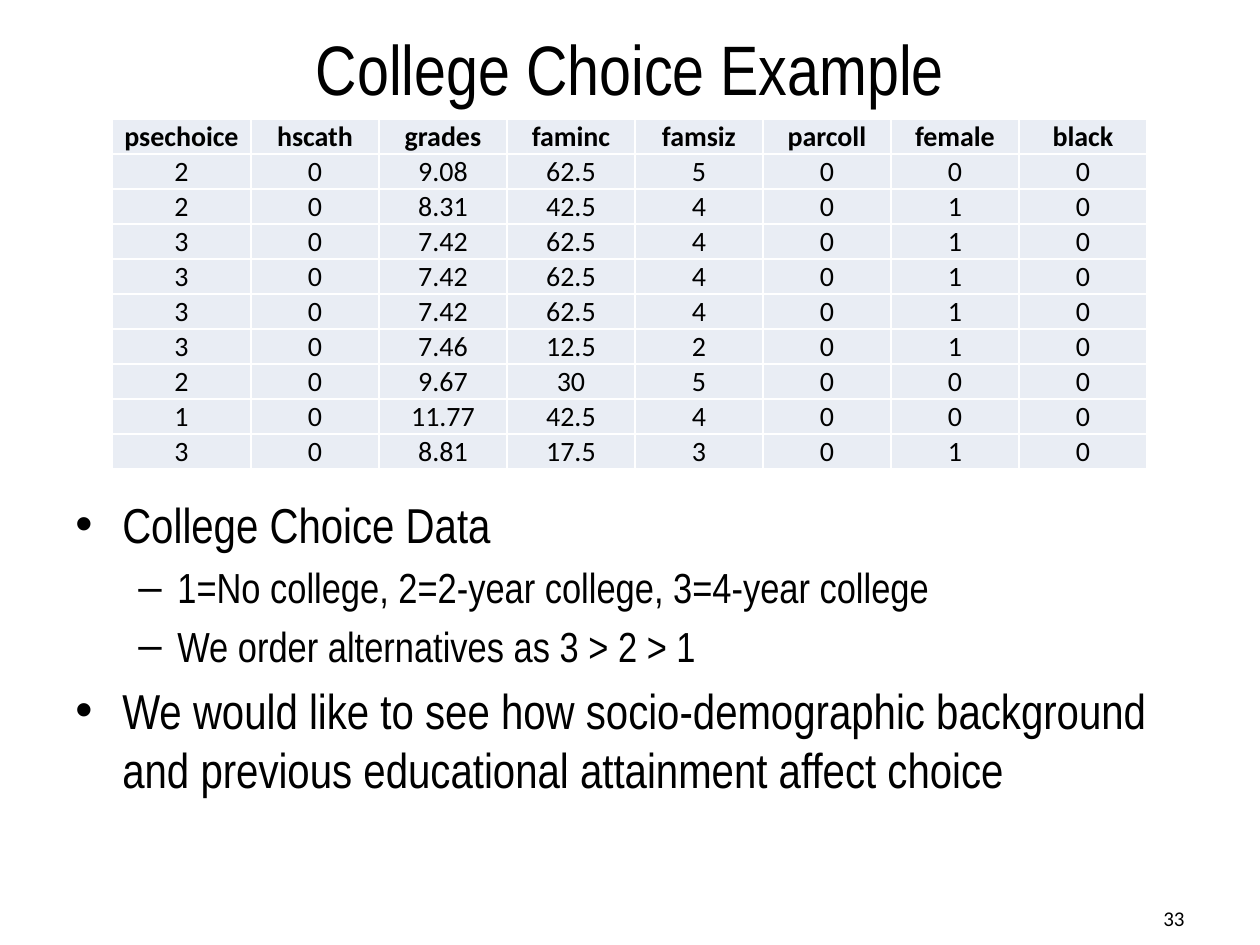
from lxml import etree
from pptx import Presentation
from pptx.dml.color import RGBColor
from pptx.enum.text import MSO_ANCHOR, PP_ALIGN
from pptx.oxml import parse_xml
from pptx.oxml.ns import nsdecls, qn
from pptx.util import Pt

PX = 914400 / 126
BLACK = RGBColor(0x00, 0x00, 0x00)
PALE = RGBColor(0xE9, 0xED, 0xF4)
TOP, MID, LOW = MSO_ANCHOR.TOP, MSO_ANCHOR.MIDDLE, MSO_ANCHOR.BOTTOM
CENTER, RIGHT = PP_ALIGN.CENTER, PP_ALIGN.RIGHT

ROWS = [
    "psechoice hscath grades faminc famsiz parcoll female black",
    "2 0 9.08 62.5 5 0 0 0",
    "2 0 8.31 42.5 4 0 1 0",
    "3 0 7.42 62.5 4 0 1 0",
    "3 0 7.42 62.5 4 0 1 0",
    "3 0 7.42 62.5 4 0 1 0",
    "3 0 7.46 12.5 2 0 1 0",
    "2 0 9.67 30 5 0 0 0",
    "1 0 11.77 42.5 4 0 0 0",
    "3 0 8.81 17.5 3 0 1 0",
]
POINTS = [
    (0, "College Choice Data"),
    (1, "1=No college, 2=2-year college, 3=4-year college"),
    (1, "We order alternatives as 3 > 2 > 1"),
    (0, "We would like to see how socio-demographic background "
        "and previous educational attainment affect choice"),
]
LEVELS = [("•", 28, 47, 47), ("–", 24, 102, 39)]


def add_box(left, top, width, height, anchor):
    box = slide.shapes.add_textbox(*[round(n * PX) for n in (left, top, width, height)])
    frame = box.text_frame
    frame.word_wrap = True
    frame.vertical_anchor = anchor
    return frame


def style(para, text, size, face, align=None, bold=False):
    para.text = text
    para.alignment = align
    font = para.font
    font.size = Pt(size)
    font.name = face
    font.bold = bold
    font.color.rgb = BLACK


deck = Presentation()
deck.slide_width = round(1260 * PX)
deck.slide_height = round(945 * PX)
slide = deck.slides.add_slide(deck.slide_layouts[6])

title = add_box(63, 0, 1134, 135, MID)
style(title.paragraphs[0], "College Choice Example", 40, "Arial Narrow", CENTER)

body = add_box(63, 488, 1134, 323, TOP)
for i, (level, text) in enumerate(POINTS):
    mark, size, left, hang = LEVELS[level]
    para = body.add_paragraph() if i else body.paragraphs[0]
    para.level = level
    props = para._p.get_or_add_pPr()
    props.set("marL", str(round(left * PX)))
    props.set("indent", str(round(-hang * PX)))
    etree.SubElement(props, qn("a:buFont")).set("typeface", "Arial")
    etree.SubElement(props, qn("a:buChar")).set("char", mark)
    para.space_before = Pt(size * 0.2 if i else 0)
    style(para, text, size, "Arial Narrow")

number = add_box(903, 893, 294, 50, MID)
style(number.paragraphs[0], "33", 12, "Calibri", RIGHT)

grid = [row.split() for row in ROWS]
widths = [139] + [128] * 7
frame = slide.shapes.add_table(
    len(grid), len(widths), round(112 * PX), round(119 * PX),
    round(sum(widths) * PX), round(35 * len(grid) * PX))
table = frame.table
table.first_row = False
table.horz_banding = False
for col, width in zip(table.columns, widths):
    col.width = round(width * PX)
for r, row in enumerate(grid):
    for c, text in enumerate(row):
        cell = table.cell(r, c)
        props = cell._tc.get_or_add_tcPr()
        for side in "LRTB":
            props.append(parse_xml(
                f'<a:ln{side} w="12700" {nsdecls("a")}><a:solidFill>'
                f'<a:srgbClr val="FFFFFF"/></a:solidFill></a:ln{side}>'))
        cell.fill.solid()
        cell.fill.fore_color.rgb = PALE
        cell.margin_left = cell.margin_right = cell.margin_top = round(PX)
        cell.margin_bottom = 0
        cell.vertical_anchor = LOW
        style(cell.text_frame.paragraphs[0], text, 16, "Calibri", CENTER, r == 0)

deck.save("out.pptx")
